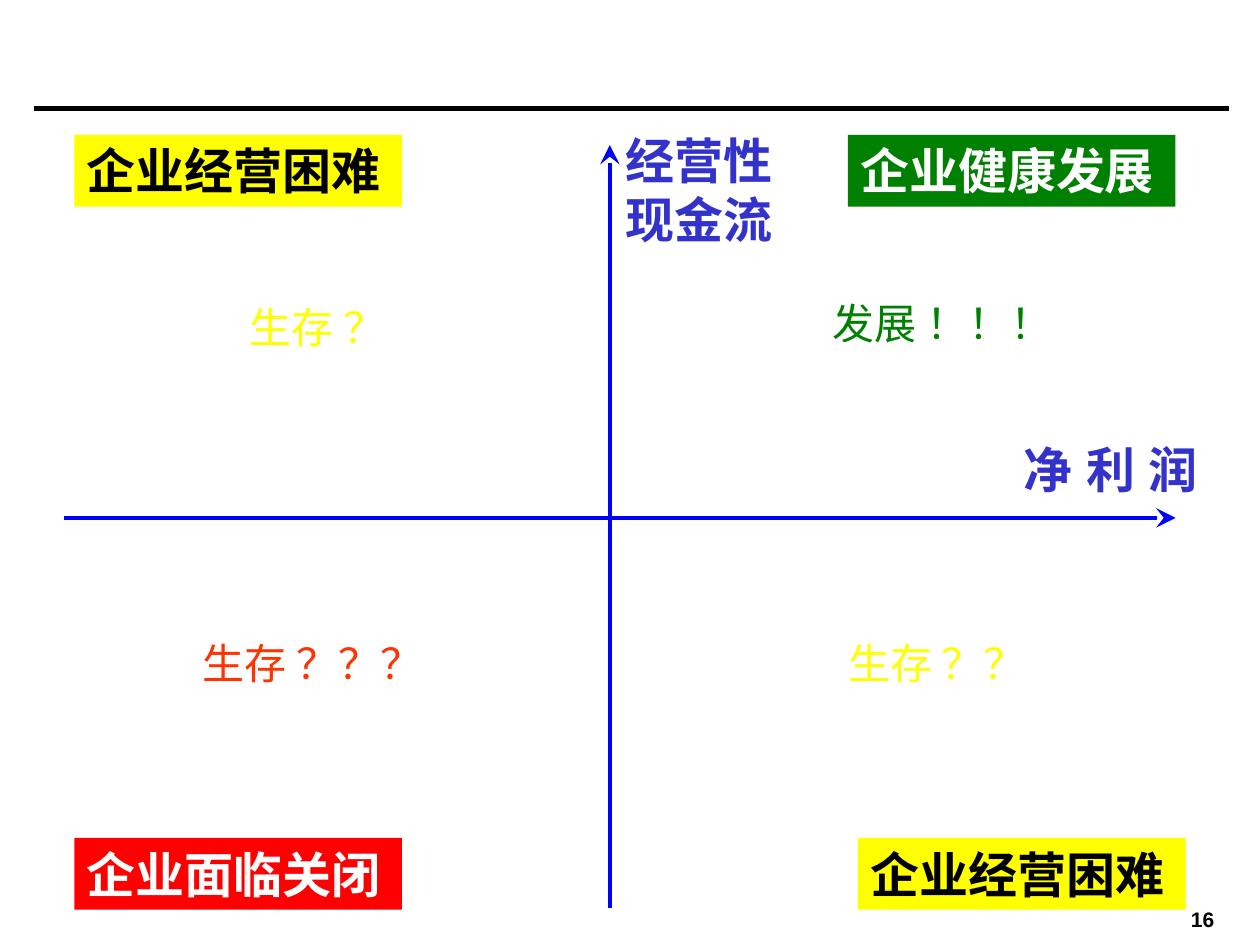
from dataclasses import dataclass

from lxml import etree
from pptx import Presentation
from pptx import util as u
from pptx.dml.color import RGBColor
from pptx.enum import lang, shapes, text
from pptx.oxml import ns

# The slide is a grid of 100 columns and 75 rows; all places are given in it.
CELL = u.Inches(0.1)
COLUMNS, ROWS = 100, 75
COLORS = {
    "black": "000000", "white": "FFFFFF", "blue": "0000FF", "indigo": "3333CC",
    "green": "008000", "red": "FF0000", "orange": "FF3300", "yellow": "FFFF00",
}
TAG_SIZE = (26, 5.7)
TOP_ROW, BOTTOM_ROW, LEFT_COLUMN = 10.7, 66.5, 5.9
AXIS_COLUMN, AXIS_ROW = 48.4, 41.1


@dataclass(frozen=True)
class Style:
    font: str
    asian_font: str
    size: int
    bold: bool
    wrap: bool = True
    centered: bool = False
    grow: bool = False
    inset_rows: float = 0.5
    anchor: text.MSO_ANCHOR = text.MSO_ANCHOR.TOP


@dataclass(frozen=True)
class Label:
    words: str
    column: float
    row: float
    width: float
    height: float
    color: str
    style: Style


@dataclass(frozen=True)
class Tag:
    words: str
    column: float
    row: float
    fill: str
    color: str


@dataclass(frozen=True)
class Line:
    start: tuple[float, float]
    end: tuple[float, float]
    color: str
    points: float
    arrow: bool = False


TAG = Style("Times New Roman", "Arial", 28, True, grow=True)
AXIS = Style("Times New Roman", "Arial", 28, True, centered=True, grow=True)
OUTLOOK = Style("Noto Sans CJK JP", "Noto Sans CJK JP", 24, False, wrap=False, centered=True)
PAGE = Style("Arial", "Arial", 12, True, centered=True, inset_rows=0,
             anchor=text.MSO_ANCHOR.MIDDLE)

LINES = [
    Line((2.7, 8.6), (97.5, 8.6), "black", 3),
    Line((5.1, AXIS_ROW), (93.3, AXIS_ROW), "blue", 2.25, arrow=True),
    Line((AXIS_COLUMN, 72.1), (AXIS_COLUMN, 11.5), "blue", 2.25, arrow=True),
]
TAGS = [
    Tag("企业经营困难", LEFT_COLUMN, TOP_ROW, "yellow", "black"),
    Tag("企业健康发展", 67.3, TOP_ROW, "green", "white"),
    Tag("企业面临关闭", LEFT_COLUMN, BOTTOM_ROW, "red", "white"),
    Tag("企业经营困难", 68.1, BOTTOM_ROW, "yellow", "black"),
]
LABELS = [
    Label("净 利 润", 79.9, 34.4, 16.5, 5.7, "indigo", AXIS),
    Label("经营性现金流", 47.6, 9.9, 15.7, 10.4, "indigo", AXIS),
    Label("生存 ？", 13.8, 23.4, 22.8, 8.7, "yellow", OUTLOOK),
    Label("发展 ！！！", 54.7, 23.1, 40.2, 8.7, "green", OUTLOOK),
    Label("生存 ？？？", 4.3, 50.1, 41, 9.4, "orange", OUTLOOK),
    Label("生存 ？？", 58.6, 50.1, 31.5, 9.4, "yellow", OUTLOOK),
    Label("16", 92.1, 72.1, 6.7, 1.7, "black", PAGE),
]


def cells(*counts: float) -> list[int]:
    return [round(count * CELL) for count in counts]


def rgb(name: str) -> RGBColor:
    return RGBColor.from_string(COLORS[name])


def write(shape, words: str, color: str, style: Style) -> None:
    frame = shape.text_frame
    frame.word_wrap = style.wrap
    frame.auto_size = (text.MSO_AUTO_SIZE.SHAPE_TO_FIT_TEXT if style.grow
                       else text.MSO_AUTO_SIZE.NONE)
    frame.vertical_anchor = style.anchor
    frame.margin_left, frame.margin_right = cells(1, 1)
    frame.margin_top, frame.margin_bottom = cells(style.inset_rows, style.inset_rows)
    paragraph = frame.paragraphs[0]
    paragraph.alignment = text.PP_ALIGN.CENTER if style.centered else text.PP_ALIGN.LEFT
    run = paragraph.add_run()
    run.text = words
    font = run.font
    font.name, font.size, font.bold = style.font, u.Pt(style.size), style.bold
    font.color.rgb = rgb(color)
    font.language_id = lang.MSO_LANGUAGE_ID.SIMPLIFIED_CHINESE
    # East Asian characters take their font from a separate element.
    etree.SubElement(run._r.get_or_add_rPr(), ns.qn("a:ea"), typeface=style.asian_font)


def draw_line(slide, line: Line) -> None:
    connector = slide.shapes.add_connector(
        shapes.MSO_CONNECTOR.STRAIGHT, *cells(*line.start, *line.end))
    connector.line.color.rgb = rgb(line.color)
    connector.line.width = u.Pt(line.points)
    if line.arrow:
        etree.SubElement(connector.line._get_or_add_ln(), ns.qn("a:tailEnd"),
                         type="stealth", w="lg", len="lg")
    etree.SubElement(connector._element.spPr, ns.qn("a:effectLst"))


def draw_tag(slide, tag: Tag) -> None:
    shape = slide.shapes.add_shape(
        shapes.MSO_SHAPE.RECTANGLE, *cells(tag.column, tag.row, *TAG_SIZE))
    shape.shadow.inherit = False
    shape.fill.solid()
    shape.fill.fore_color.rgb = rgb(tag.fill)
    shape.line.fill.background()
    write(shape, tag.words, tag.color, TAG)


def draw_label(slide, label: Label) -> None:
    box = slide.shapes.add_textbox(
        *cells(label.column, label.row, label.width, label.height))
    write(box, label.words, label.color, label.style)


def main() -> None:
    presentation = Presentation()
    presentation.slide_width, presentation.slide_height = cells(COLUMNS, ROWS)
    slide = presentation.slides.add_slide(presentation.slide_layouts[6])
    for line in LINES:
        draw_line(slide, line)
    for tag in TAGS:
        draw_tag(slide, tag)
    for label in LABELS:
        draw_label(slide, label)
    presentation.save("out.pptx")


if __name__ == "__main__":
    main()
